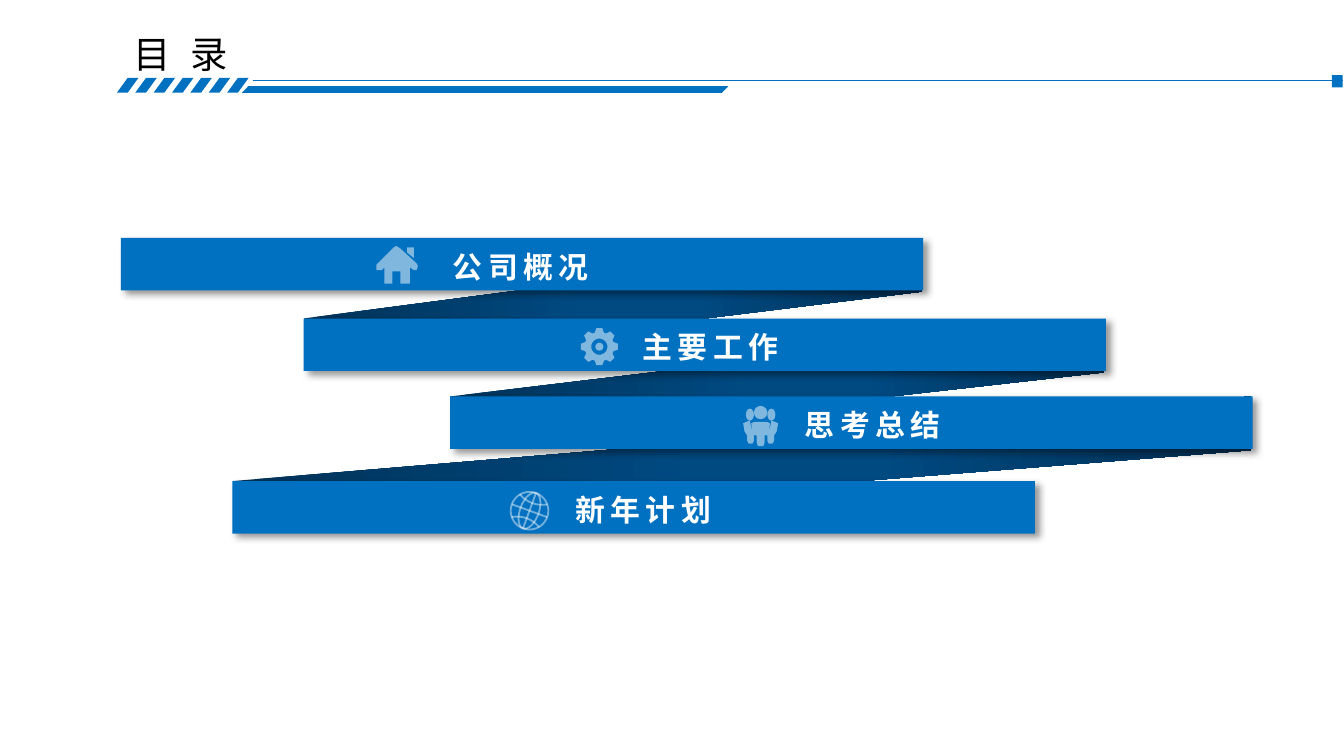
"""Build the agenda slide with a folded ribbon of four blue bars."""
import math

from lxml import etree
from pptx import Presentation
from pptx import util as u
from pptx.dml.color import RGBColor
from pptx.enum import shapes, text
from pptx.oxml.ns import qn

BLUE = RGBColor(0x00, 0x70, 0xC0)
WHITE = RGBColor(0xFF, 0xFF, 0xFF)
BLACK = RGBColor(0x00, 0x00, 0x00)
FOLD_STOPS = [
    (0, RGBColor(0x00, 0x32, 0x58)),
    (46, RGBColor(0x00, 0x4A, 0x82)),
    (63, RGBColor(0x00, 0x4A, 0x82)),
    (100, RGBColor(0x00, 0x30, 0x54)),
]
FONT = "Noto Sans CJK SC"
BAR_WIDTH, BAR_HEIGHT = 5.97, 0.39
BARS = [
    ("公司概况", 0.9, 1.77, 2.83),
    ("主要工作", 2.26, 2.37, 4.24),
    ("思考总结", 3.35, 2.95, 5.45),
    ("新年计划", 1.73, 3.58, 3.74),
]
HOUSE = [
    (3.05, 2.11), (2.98, 2.11), (2.98, 2.02), (2.92, 2.02), (2.92, 2.11),
    (2.86, 2.11), (2.86, 1.99), (2.84, 2.01), (2.8, 2.01), (2.8, 1.97),
    (2.93, 1.84), (2.95, 1.83), (2.98, 1.85), (3.1, 1.96), (3.11, 1.98),
    (3.1, 2.01), (3.08, 2.01), (3.05, 1.99),
]
CHIMNEY = [(3.08, 1.92), (3.03, 1.88), (3.03, 1.84), (3.08, 1.84)]
PEOPLE_CENTER = 5.66
PEOPLE_HALF = [
    (5.66, 3.14), (5.61, 3.14), (5.59, 3.15), (5.6, 3.22), (5.59, 3.18),
    (5.58, 3.13), (5.55, 3.14), (5.53, 3.15), (5.54, 3.21), (5.56, 3.24),
    (5.56, 3.28), (5.57, 3.3), (5.6, 3.3), (5.61, 3.28), (5.61, 3.24),
    (5.63, 3.24), (5.63, 3.29), (5.64, 3.32), (5.66, 3.32),
]


def write_text(frame, words, size=16, color=WHITE, bold=False, spacing=3,
               align=text.PP_ALIGN.LEFT, wrap=True):
    """Put one formatted paragraph into a text frame."""
    frame.word_wrap = wrap
    frame.auto_size = text.MSO_AUTO_SIZE.SHAPE_TO_FIT_TEXT
    frame.vertical_anchor = text.MSO_ANCHOR.TOP
    paragraph = frame.paragraphs[0]
    paragraph.alignment = align
    run = paragraph.add_run()
    run.text = words
    run.font.size = u.Pt(size)
    run.font.bold = bold
    run.font.color.rgb = color
    run.font.name = FONT
    properties = run.font._element
    properties.set("spc", str(spacing * 100))
    etree.SubElement(properties, qn("a:ea"), typeface=FONT)


def set_opacity(shape, percent):
    """Make every colour of a shape partly transparent."""
    for color in shape.element.spPr.iter(qn("a:srgbClr")):
        etree.SubElement(color, qn("a:alpha"), val=str(percent * 1000))


def ellipse(center_x, center_y, radius_x, radius_y, steps=48):
    """Return points around an ellipse."""
    angles = [2 * math.pi * step / steps for step in range(steps)]
    return [(center_x + radius_x * math.cos(angle),
             center_y + radius_y * math.sin(angle)) for angle in angles]


def gear_outline(center_x, center_y):
    """Return the outline of an eight-toothed gear."""
    corners = [(-18, 0.11), (-9, 0.14), (9, 0.14), (18, 0.11)]
    return [(center_x + radius * math.cos(math.radians(tooth * 45 + offset)),
             center_y + radius * math.sin(math.radians(tooth * 45 + offset)))
            for tooth in range(8) for offset, radius in corners]


def globe_lines(center_x, center_y, radius=0.14, tilt=20):
    """Return the closed rings and open lines of a tilted globe."""
    rings = [ellipse(0, 0, radius, radius), ellipse(0, 0, radius / 2, radius)]
    lines = [[(0, -radius), (0, radius)], [(-radius, 0), (radius, 0)]]
    for side in (-1, 1):
        lines.append([(0.11 * step / 4, side * (0.06 + 0.03 * (step / 4) ** 2))
                      for step in range(-4, 5)])
    cosine, sine = math.cos(math.radians(tilt)), math.sin(math.radians(tilt))

    def turn(points):
        return [(center_x + x * cosine - y * sine,
                 center_y + x * sine + y * cosine) for x, y in points]

    return [turn(ring) for ring in rings], [turn(line) for line in lines]


class SlideBuilder:
    """Holds the slide and draws its elements in one style."""

    def __init__(self, slide):
        self.slide = slide
        self.shapes = slide.shapes

    def style(self, shape, color, opacity=None):
        shape.shadow.inherit = False
        shape.fill.solid()
        shape.fill.fore_color.rgb = color
        shape.line.fill.background()
        if opacity:
            set_opacity(shape, opacity)
        return shape

    def title(self, words, left, top, width, height):
        shape = self.shapes.title
        shape.left, shape.top = u.Inches(left), u.Inches(top)
        shape.width, shape.height = u.Inches(width), u.Inches(height)
        write_text(shape.text_frame, words, size=20, color=BLACK, wrap=False)

    def label(self, words, left, top, width, height):
        box = self.shapes.add_textbox(*map(u.Inches, (left, top, width, height)))
        write_text(box.text_frame, words, bold=True, align=text.PP_ALIGN.CENTER)

    def preset(self, kind, left, top, width, height, color=BLUE, opacity=None):
        shape = self.shapes.add_shape(
            kind, *map(u.Inches, (left, top, width, height)))
        return self.style(shape, color, opacity)

    def outline(self, closed, opened=()):
        contours = [(points, True) for points in closed]
        contours += [(points, False) for points in opened]
        builder = None
        for points, close in contours:
            points = [(u.Inches(x), u.Inches(y)) for x, y in points]
            if builder is None:
                builder = self.shapes.build_freeform(*points[0])
            else:
                builder.move_to(*points[0])
            builder.add_line_segments(points[1:], close=close)
        return builder.convert_to_shape()

    def solid(self, *contours, color=BLUE, opacity=None):
        return self.style(self.outline(contours), color, opacity)

    def wireframe(self, rings, lines, opacity):
        shape = self.outline(rings, lines)
        shape.shadow.inherit = False
        shape.fill.background()
        shape.line.color.rgb = WHITE
        shape.line.width = u.Pt(1)
        set_opacity(shape, opacity)

    def rule(self, left, right, y):
        line = self.shapes.add_connector(
            shapes.MSO_CONNECTOR.STRAIGHT, *map(u.Inches, (left, y, right, y)))
        line.line.color.rgb = BLUE
        line.line.width = u.Pt(0.75)
        etree.SubElement(line.element.spPr, qn("a:effectLst"))

    def fold(self, upper, lower):
        right = upper[1] + BAR_WIDTH - 0.01
        left, top, bottom = lower[1], upper[2], lower[2]
        shape = self.solid([(right, top), (left, bottom), (left, bottom + 0.37),
                            (right, top + 0.4)])
        shape.fill.gradient()
        shape.fill.gradient_angle = 0
        stops = shape.element.spPr.find(qn("a:gradFill")).find(qn("a:gsLst"))
        stops.clear()
        for position, color in FOLD_STOPS:
            stop = etree.SubElement(stops, qn("a:gs"), pos=str(position * 1000))
            etree.SubElement(stop, qn("a:srgbClr"), val=str(color))

    def bar(self, words, left, top, label_left):
        shape = self.preset(shapes.MSO_SHAPE.RECTANGLE, left, top,
                            BAR_WIDTH, BAR_HEIGHT)
        effects = shape.element.spPr.find(qn("a:effectLst"))
        shadow = etree.SubElement(
            effects, qn("a:outerShdw"), blurRad=str(u.Pt(4)), dist=str(u.Pt(3)),
            dir=str(45 * 60000), algn="tl", rotWithShape="0")
        color = etree.SubElement(shadow, qn("a:srgbClr"), val=str(BLACK))
        etree.SubElement(color, qn("a:alpha"), val="40000")
        self.label(words, label_left, top + 0.03, 2.09, 0.37)


def main():
    """Draw the heading, the ribbon and the icons."""
    presentation = Presentation()
    presentation.slide_width = u.Inches(10)
    presentation.slide_height = presentation.slide_width * 9 // 16
    slide = presentation.slides.add_slide(presentation.slide_layouts[5])
    builder = SlideBuilder(slide)

    builder.rule(1.88, 9.99, 0.6)
    builder.preset(shapes.MSO_SHAPE.RECTANGLE, 9.91, 0.56, 0.08, 0.09)
    for index in range(7):
        x = 0.87 + index * 0.82 / 6
        builder.solid([(x, 0.69), (x + 0.08, 0.58), (x + 0.16, 0.58),
                       (x + 0.08, 0.69)])
    band = builder.preset(shapes.MSO_SHAPE.PARALLELOGRAM, 1.8, 0.64, 3.62, 0.05)
    band.adjustments[0] = 0.97
    builder.title("目 录", 0.89, 0.18, 0.97, 0.44)

    for upper, lower in reversed(list(zip(BARS, BARS[1:]))):
        builder.fold(upper, lower)
    for bar in BARS:
        builder.bar(*bar)

    icon = {"color": WHITE, "opacity": 50}
    oval = shapes.MSO_SHAPE.OVAL
    builder.solid(HOUSE, **icon)
    builder.solid(CHIMNEY, **icon)
    builder.solid(gear_outline(4.46, 2.58),
                  ellipse(4.46, 2.58, 0.06, 0.06)[::-1], **icon)
    builder.preset(oval, 4.43, 2.55, 0.06, 0.06, **icon)
    mirrored = [(2 * PEOPLE_CENTER - x, y) for x, y in PEOPLE_HALF[-2:0:-1]]
    builder.solid(PEOPLE_HALF + mirrored, **icon)
    builder.preset(oval, 5.61, 3.02, 0.1, 0.1, **icon)
    for left in (5.55, 5.71):
        builder.preset(oval, left, 3.04, 0.06, 0.09, **icon)
    builder.wireframe(*globe_lines(3.94, 3.8), opacity=43)

    presentation.save("out.pptx")


if __name__ == "__main__":
    main()
